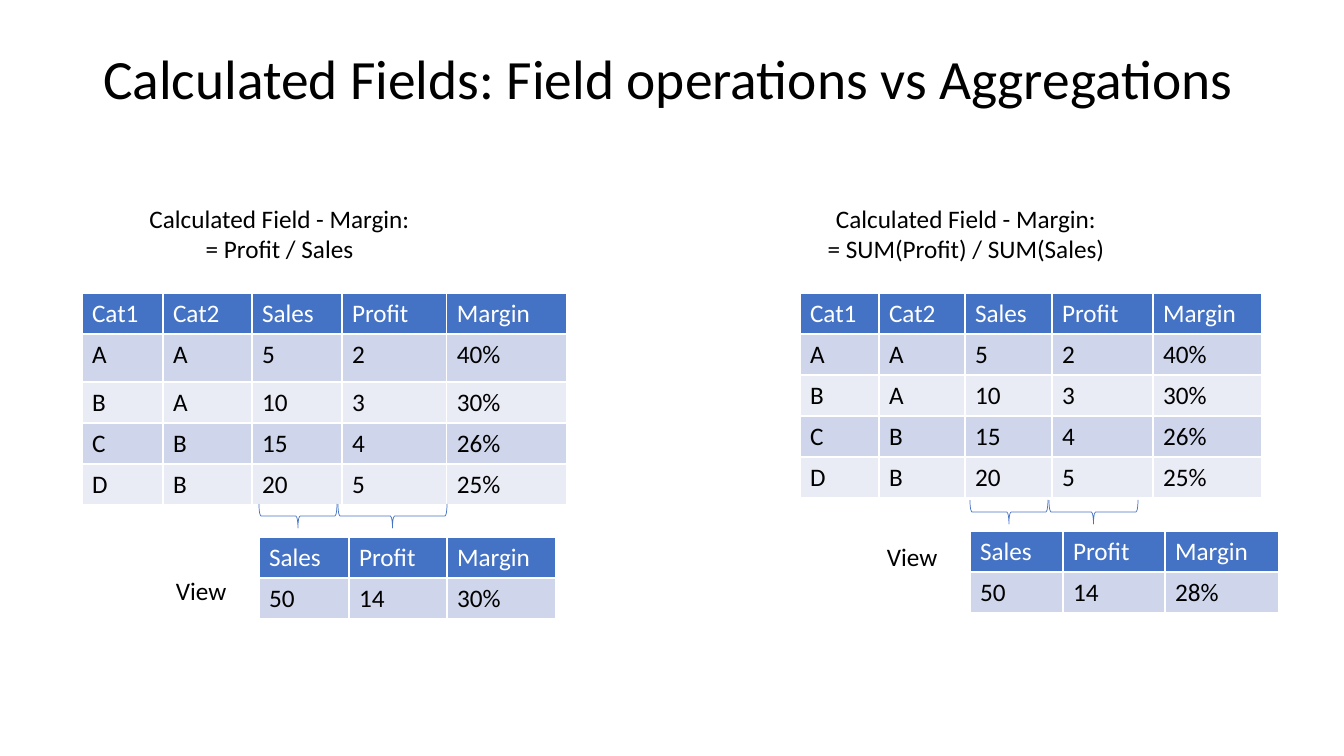
from pptx import Presentation
from pptx.dml.color import RGBColor
from pptx.enum.shapes import MSO_SHAPE
from pptx.enum.text import MSO_ANCHOR, MSO_AUTO_SIZE, PP_ALIGN
from pptx.util import Emu, Pt

LEFT_BRACE = MSO_SHAPE.LEFT_BRACE
TOP = MSO_ANCHOR.TOP
NO_AUTOFIT = MSO_AUTO_SIZE.NONE
LEFT, CENTER = PP_ALIGN.LEFT, PP_ALIGN.CENTER

SLIDE_WIDTH, SLIDE_HEIGHT = 1344, 756
EMU_PER_PX = 12192000 / SLIDE_WIDTH
FONT = "Calibri"
COLORS = {
    "accent": "4472C4",
    "odd_row": "CFD5EA",
    "even_row": "E9EBF5",
    "text": "000000",
    "header_text": "FFFFFF",
}

TITLE = "Calculated Fields: Field operations vs Aggregations"
ROW_HEIGHT = 41
BRACE_HEIGHT = 24
TABLE_OFFSET = 95
RECORDS = [
    ["Cat1", "Cat2", "Sales", "Profit", "Margin"],
    ["A", "A", "5", "2", "40%"],
    ["B", "A", "10", "3", "30%"],
    ["C", "B", "15", "4", "26%"],
    ["D", "B", "20", "5", "25%"],
]

PANELS = [
    {
        "box": (82, 198, 485, 421),
        "formula": "= Profit / Sales",
        "formula_box": (56, 0, 283, 72),
        "column_groups": [[81, 89, 90, 105, 120]],
        "row_heights": [41, 48, 41, 41, 41],
        "braces_top": 306,
        "brace_widths": [78, 109],
        "view_at": (177, 339),
        "view_columns": [90, 98, 109],
        "view_margin": "30%",
        "label_box": (84, 372, 72, 40),
    },
    {
        "box": (800, 198, 479, 415),
        "formula": "= SUM(Profit) / SUM(Sales)",
        "formula_box": (16, 0, 300, 72),
        "column_groups": [[79, 86, 87, 101], [109]],
        "row_heights": [ROW_HEIGHT] * 5,
        "braces_top": 302,
        "brace_widths": [78, 89],
        "view_at": (170, 333),
        "view_columns": [93, 102, 114],
        "view_margin": "28%",
        "label_box": (77, 338, 72, 40),
    },
]


def px(length):
    return Emu(round(length * EMU_PER_PX))


def color(name):
    return RGBColor.from_string(COLORS[name])


def style_paragraph(para, size=18, color_name="text", align=LEFT):
    para.alignment = align
    para.font.name = FONT
    para.font.size = Pt(size)
    para.font.bold = False
    para.font.color.rgb = color(color_name)


def add_title(slide, box):
    title = slide.shapes.title
    title.left, title.top, title.width, title.height = map(px, box)
    frame = title.text_frame
    frame.text = TITLE
    frame.word_wrap = True
    frame.auto_size = NO_AUTOFIT
    frame.vertical_anchor = TOP
    frame.margin_top = px(12)
    para = frame.paragraphs[0]
    style_paragraph(para, size=39.6)
    para.line_spacing = 0.9


def add_text(slide, box, lines, align=LEFT):
    frame = slide.shapes.add_textbox(*map(px, box)).text_frame
    frame.word_wrap = False
    frame.text = "\n".join(lines)
    for para in frame.paragraphs:
        style_paragraph(para, align=align)


def add_table(slide, left, top, widths, heights, rows):
    box = (left, top, sum(widths), sum(heights))
    table = slide.shapes.add_table(len(rows), len(widths), *map(px, box)).table
    for column, width in zip(table.columns, widths):
        column.width = px(width)
    for index, (row, height, values) in enumerate(zip(table.rows, heights, rows)):
        row.height = px(height)
        if index == 0:
            fill, text_color = "accent", "header_text"
        else:
            fill, text_color = ("odd_row" if index % 2 else "even_row"), "text"
        for cell, value in zip(row.cells, values):
            cell.text = value
            cell.fill.solid()
            cell.fill.fore_color.rgb = color(fill)
            style_paragraph(cell.text_frame.paragraphs[0], color_name=text_color)


def add_brace_below(slide, left, top, width):
    shift = (width - BRACE_HEIGHT) / 2
    box = (left + shift, top - shift, BRACE_HEIGHT, width)
    brace = slide.shapes.add_shape(LEFT_BRACE, *map(px, box))
    brace.rotation = 270
    brace.shadow.inherit = False
    brace.fill.background()
    brace.line.color.rgb = color("accent")
    brace.line.width = Pt(0.5)


def add_panel(slide, panel):
    left, top = panel["box"][:2]

    def place(box):
        return (left + box[0], top + box[1], *box[2:])

    add_text(slide, place(panel["formula_box"]),
             ["Calculated Field - Margin:", panel["formula"]], CENTER)

    table_left, first = left, 0
    for widths in panel["column_groups"]:
        last = first + len(widths)
        add_table(slide, table_left, top + TABLE_OFFSET, widths,
                  panel["row_heights"], [record[first:last] for record in RECORDS])
        table_left, first = table_left + sum(widths), last

    view_left, view_top = place(panel["view_at"])
    add_table(slide, view_left, view_top, panel["view_columns"], [ROW_HEIGHT] * 2,
              [RECORDS[0][2:], ["50", "14", panel["view_margin"]]])

    brace_left = view_left
    for width in panel["brace_widths"]:
        add_brace_below(slide, brace_left, top + panel["braces_top"], width)
        brace_left += width + 1

    add_text(slide, place(panel["label_box"]), ["View"])


def main():
    deck = Presentation()
    deck.slide_width, deck.slide_height = px(SLIDE_WIDTH), px(SLIDE_HEIGHT)
    slide = deck.slides.add_slide(deck.slide_layouts[5])
    add_title(slide, (93, 40, 1159, 146))
    for panel in PANELS:
        add_panel(slide, panel)
    deck.save("out.pptx")


if __name__ == "__main__":
    main()
